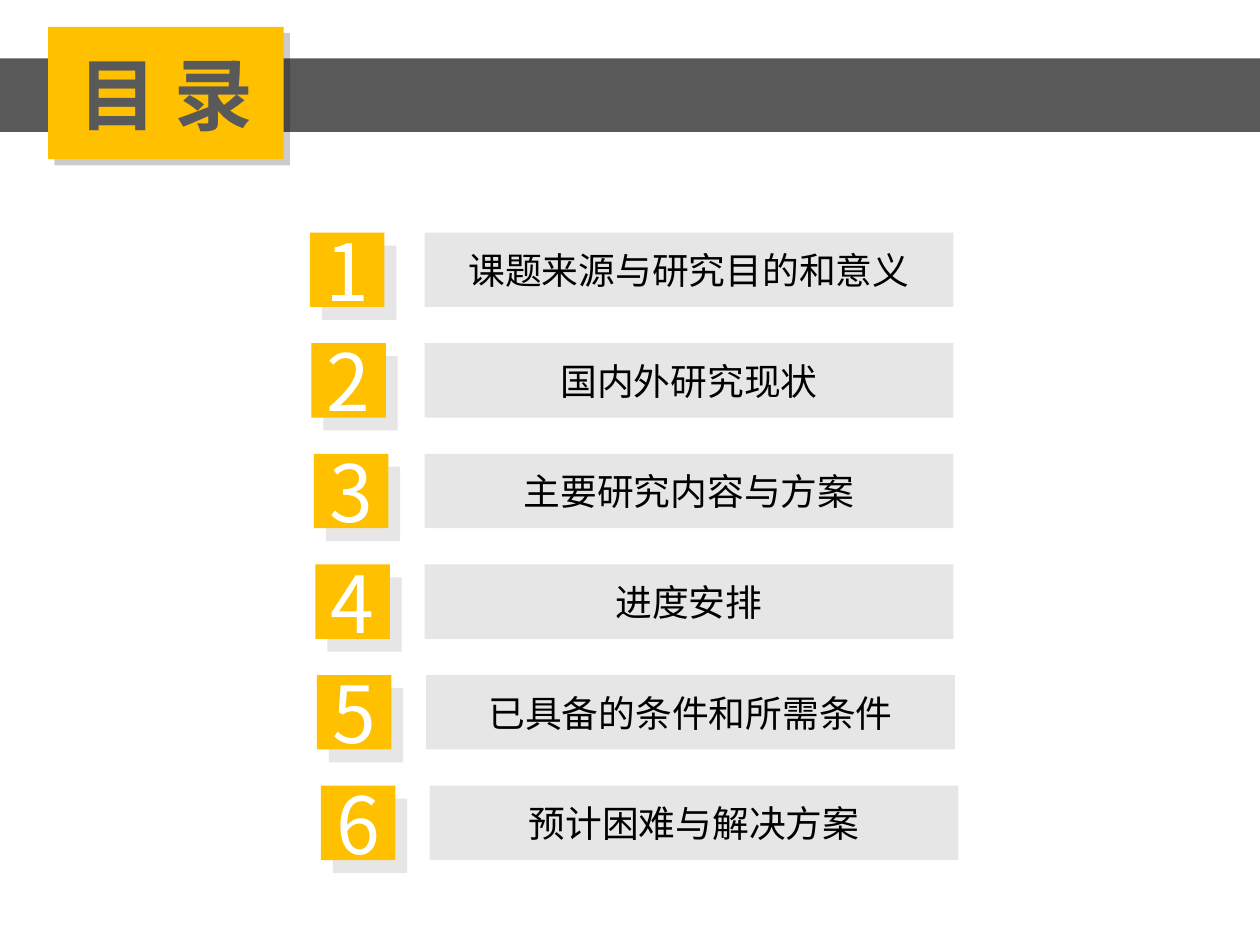
import pptx
import pptx.util
import pptx.dml.color
import pptx.enum.shapes
import pptx.enum.text
import pptx.oxml
import pptx.oxml.ns
from lxml import etree

Cm = pptx.util.Cm
RGBColor = pptx.dml.color.RGBColor

FONT = "Noto Sans CJK SC"
GREY = RGBColor(0x59, 0x59, 0x59)
AMBER = RGBColor(0xFF, 0xC0, 0x00)
INK = RGBColor(0x0D, 0x0D, 0x0D)
BLACK = RGBColor(0, 0, 0)
WHITE = RGBColor(0xFF, 0xFF, 0xFF)

SIDE = 1.5
BAR_WIDTH = 10.66
FIRST_TOP = 4.69
ROW_PITCH = 2.23

# Heading, left edge of the number box, left edge of the bar (cm)
ENTRIES = [
    ("课题来源与研究目的和意义", 6.25, 8.56),
    ("国内外研究现状", 6.28, 8.56),
    ("主要研究内容与方案", 6.33, 8.56),
    ("进度安排", 6.36, 8.56),
    ("已具备的条件和所需条件", 6.39, 8.59),
    ("预计困难与解决方案", 6.47, 8.66),
]


def paint(shape, color, opacity=100):
    """Fill the shape without an outline; opacity is in percent."""
    shape.fill.solid()
    shape.fill.fore_color.rgb = color
    shape.line.fill.background()
    if opacity < 100:
        color_element = shape.fill._xPr.find(".//" + pptx.oxml.ns.qn("a:srgbClr"))
        alpha = etree.SubElement(color_element, pptx.oxml.ns.qn("a:alpha"))
        alpha.set("val", str(opacity * 1000))


def add_rectangle(shapes, left, top, width, height, color, opacity=100):
    shape = shapes.add_shape(
        pptx.enum.shapes.MSO_SHAPE.RECTANGLE,
        Cm(left), Cm(top), Cm(width), Cm(height))
    shape.shadow.inherit = False
    paint(shape, color, opacity)
    return shape


def write(shape, text, size, color, bold=False, side_inset=0.18, end_inset=0.1):
    frame = shape.text_frame
    frame.word_wrap = True
    frame.auto_size = pptx.enum.text.MSO_AUTO_SIZE.NONE
    frame.vertical_anchor = pptx.enum.text.MSO_ANCHOR.MIDDLE
    frame.margin_left = frame.margin_right = Cm(side_inset)
    frame.margin_top = frame.margin_bottom = Cm(end_inset)
    paragraph = frame.paragraphs[0]
    paragraph.alignment = pptx.enum.text.PP_ALIGN.CENTER
    run = paragraph.add_run()
    run.text = text
    run.font.size = pptx.util.Pt(size)
    run.font.bold = bold
    run.font.color.rgb = color
    run.font.name = FONT
    east_asian = etree.SubElement(run.font._element, pptx.oxml.ns.qn("a:ea"))
    east_asian.set("typeface", FONT)


def add_drop_shadow(shape):
    shape.shadow.inherit = False
    effects = shape._element.spPr.find(pptx.oxml.ns.qn("a:effectLst"))
    effects.append(pptx.oxml.parse_xml(
        f'<a:outerShdw {pptx.oxml.ns.nsdecls("a")} blurRad="0" dist="63500" '
        'dir="2700000" algn="tl" rotWithShape="0">'
        '<a:srgbClr val="000000"><a:alpha val="20000"/></a:srgbClr>'
        '</a:outerShdw>'))


def add_header(slide, left, top, width, height):
    band = add_rectangle(slide.shapes, left, top + 0.64, width, 1.48, GREY)
    title = slide.shapes.title
    title._element.addprevious(band._element)
    title.left, title.top = Cm(left + 0.97), Cm(top)
    title.width, title.height = Cm(4.75), Cm(height)
    paint(title, AMBER)
    add_drop_shadow(title)
    write(title, "目 录", 45, GREY, bold=True, side_inset=0.25, end_inset=0.13)


def add_number(slide, left, top, number):
    group = slide.shapes.add_group_shape()
    add_rectangle(group.shapes, left + 0.24, top + 0.26, SIDE, SIDE, INK, 10)
    square = add_rectangle(group.shapes, left, top, SIDE, SIDE, AMBER)
    write(square, str(number), 45, WHITE)


def add_contents(slide, top):
    for index, (heading, number_left, bar_left) in enumerate(ENTRIES):
        row_top = top + index * ROW_PITCH
        add_number(slide, number_left, row_top, index + 1)
        bar = add_rectangle(
            slide.shapes, bar_left, row_top, BAR_WIDTH, SIDE, INK, 10)
        write(bar, heading, 21, BLACK)


def main():
    presentation = pptx.Presentation()
    presentation.slide_width = Cm(25.4)
    presentation.slide_height = Cm(19.05)
    slide = presentation.slides.add_slide(presentation.slide_layouts[5])
    add_header(slide, 0, 0.54, 25.4, 2.67)
    add_contents(slide, FIRST_TOP)
    presentation.save("out.pptx")


if __name__ == "__main__":
    main()
